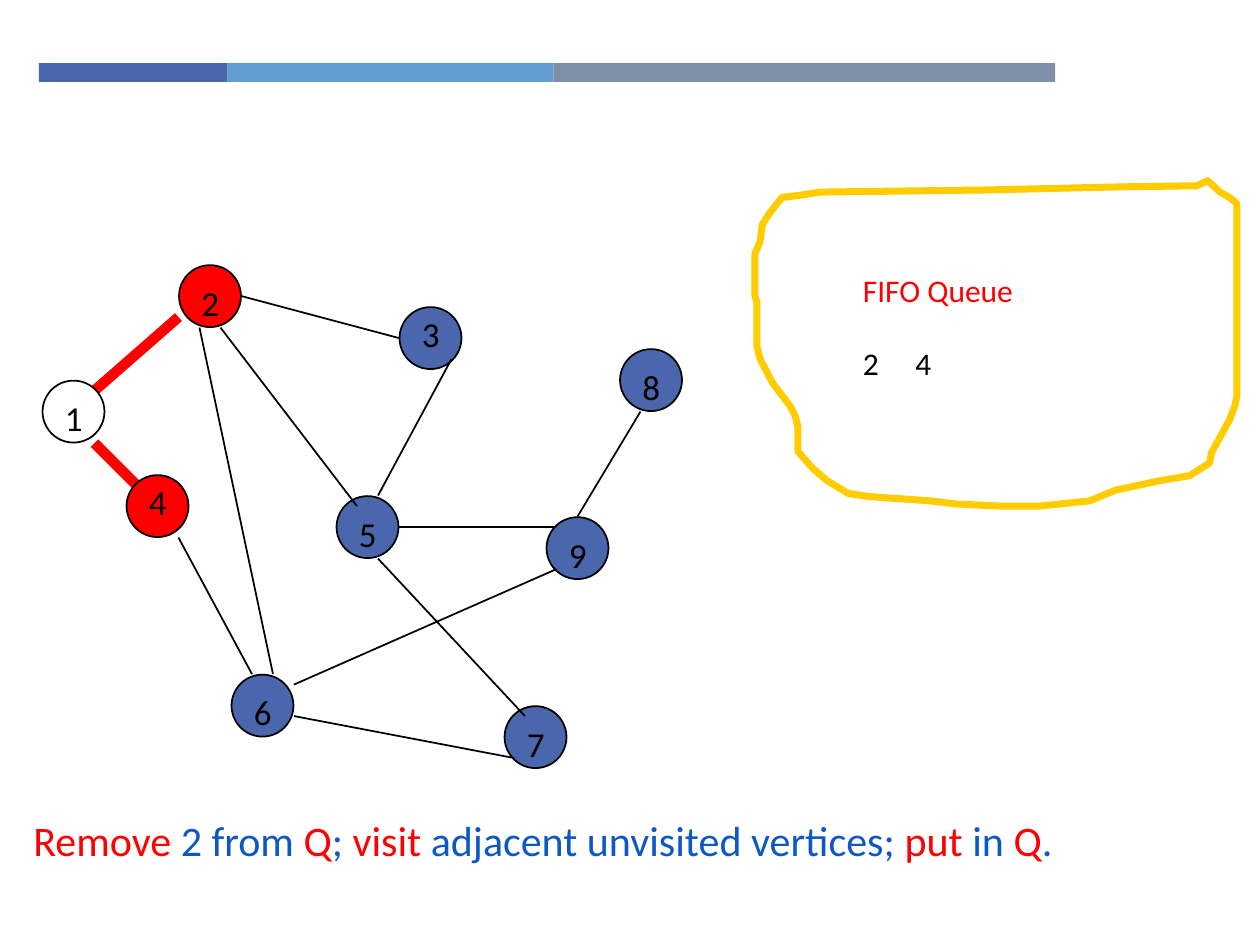
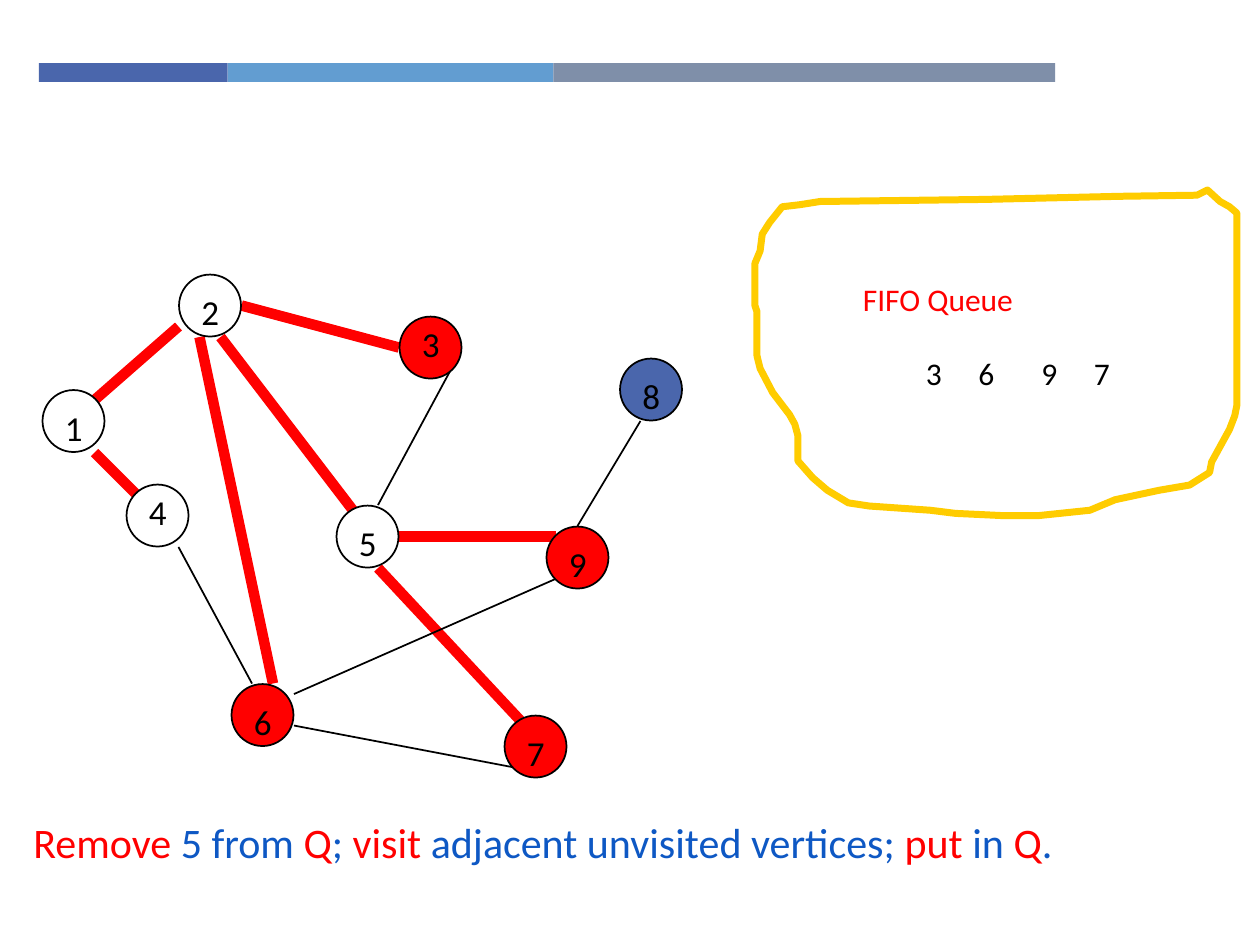
from lxml import etree
from pptx import Presentation
from pptx import util as u
from pptx.dml.color import RGBColor
from pptx.enum import shapes
from pptx.oxml.ns import qn

BLUE = RGBColor(0x4A, 0x66, 0xAC)
SKY = RGBColor(0x62, 0x9D, 0xD1)
SLATE = RGBColor(0x7F, 0x8F, 0xA9)
INK = RGBColor(0x0E, 0x58, 0xC4)
RED = RGBColor(0xFF, 0x00, 0x00)
GOLD = RGBColor(0xFF, 0xCC, 0x00)
BLACK = RGBColor(0x00, 0x00, 0x00)
WHITE = RGBColor(0xFF, 0xFF, 0xFF)
FONT = "Calibri"

prs = Presentation()
prs.slide_width, prs.slide_height = u.Inches(10), u.Inches(7.5)
CELL = prs.slide_width // 120

BAND_LEFT, BAND_TOP, BAND_HEIGHT = 3.7, 6, 1.8
BAND_PARTS = [(18, BLUE), (31, SKY), (47.8, SLATE)]

DIAMETER = 5.9
CENTERS = {
    "1": (7, 40), "2": (20, 29), "3": (41, 33), "4": (15, 49), "5": (35, 51),
    "6": (25, 68), "7": (51, 71), "8": (62, 37), "9": (55, 53),
}
HIGH_LABELS = "34"

EDGES = [
    ("1", (2, -2), "2", (-3, 2)),
    ("1", (2, 3), "4", (-2, -2)),
    ("2", (3, 0), "3", (-3, 0)),
    ("2", (1, 3), "5", (-1, -2)),
    ("2", (-1, 3), "6", (1, -3)),
    ("3", (2, 2), "5", (1, -3)),
    ("4", (2, 3), "6", (-1, -3)),
    ("5", (1, 3), "7", (-1, -2)),
    ("5", (3, 0), "9", (-2, -2)),
    ("6", (3, 1), "7", (-2, 2)),
    ("6", (3, -2), "9", (-2, 2)),
    ("8", (-1, 3), "9", (0, -3)),
]
PARENT = {"2": "1", "4": "1", "3": "2", "5": "2", "6": "2", "7": "5", "9": "5"}

FRAME_TOP = [(115, 18), (114, 18.5), (106.7, 18.6), (93.8, 18.9),
             (78.1, 19.1), (76.2, 19.4), (74.5, 19.6)]
FRAME_LEFT = [(73.3, 21.1), (72.6, 22.2), (72.4, 23.8), (71.9, 25), (71.9, 29),
              (72.1, 29.6), (72.1, 33.8), (72.4, 35), (73.6, 37.3),
              (75.2, 39.4), (75.7, 40.3), (76, 41.4), (76, 43.8)]
FRAME_BOTTOM = [(77.4, 45.4), (78.8, 46.6), (80.8, 47.8), (82.8, 48.1),
                (88.6, 48.5), (91, 48.8), (95.3, 49), (99, 49), (103.8, 48.5),
                (106.2, 47.5), (110.4, 46.6), (113.3, 46.1), (115.2, 44.9)]
FRAME_RIGHT = [(115.4, 43.9), (117.1, 40.8), (117.6, 39.5), (117.8, 38.5),
               (117.8, 20.2), (117.1, 19.6), (116.2, 19.1)]
QUEUE_FRAME = FRAME_TOP + FRAME_LEFT + FRAME_BOTTOM + FRAME_RIGHT

STEPS = [
    {"removed": "2", "done": "1", "queue": {"2": 81, "4": 86},
     "drop": -0.8, "caption_row": 77},
    {"removed": "5", "done": "1245", "queue": {"3": 87, "6": 92, "9": 98, "7": 103},
     "drop": 0.1, "caption_row": 77.2},
]


def add_shape(s, kind, fill, *box):
    sp = s.shapes.add_shape(kind, *[int(v * CELL) for v in box])
    sp.shadow.inherit = False
    sp.fill.solid()
    sp.fill.fore_color.rgb = fill
    sp.line.fill.background()
    return sp


def add_text(s, pieces, size, *box):
    tf = s.shapes.add_textbox(*[int(v * CELL) for v in box]).text_frame
    tf.word_wrap = True
    p = tf.paragraphs[0]
    for words, color in pieces:
        r = p.add_run()
        r.text = words
        r.font.name, r.font.size = FONT, u.Pt(size)
        r.font.color.rgb = color


for step in STEPS:
    s = prs.slides.add_slide(prs.slide_layouts[6])
    done, queue, drop = step["done"], step["queue"], step["drop"]

    left = BAND_LEFT
    for width, color in BAND_PARTS:
        add_shape(s, shapes.MSO_SHAPE.RECTANGLE, color,
                  left, BAND_TOP, width, BAND_HEIGHT)
        left += width

    lines = []
    for start, start_offset, end, end_offset in EDGES:
        ends = []
        for node, (dx, dy) in ((start, start_offset), (end, end_offset)):
            x, y = CENTERS[node]
            ends += [int((x + dx) * CELL), int((y + dy + drop) * CELL)]
        ln = s.shapes.add_connector(shapes.MSO_CONNECTOR.STRAIGHT, *ends)
        etree.SubElement(ln._element.spPr, qn("a:effectLst"))
        reached = end in done or end in queue
        in_tree = reached and PARENT.get(end) == start
        ln.line.color.rgb = RED if in_tree else BLACK
        ln.line.width = u.Pt(6 if in_tree else 1)
        lines.append(ln)

    for node, (x, y) in CENTERS.items():
        color = WHITE if node in done else RED if node in queue else BLUE
        sp = add_shape(s, shapes.MSO_SHAPE.OVAL, color, x - DIAMETER / 2,
                       y + drop - DIAMETER / 2, DIAMETER, DIAMETER)
        sp.line.color.rgb = BLACK
        sp.line.width = u.Pt(1)
        if color == BLUE:
            lines[0]._element.addprevious(sp._element)
        rise = 3 if node in HIGH_LABELS else 2
        add_text(s, [(node, BLACK)], 20, x - 2, y + drop - rise, 3, 5.2)

    frame = [(int(x * CELL), int((y + drop) * CELL)) for x, y in QUEUE_FRAME]
    fb = s.shapes.build_freeform(*frame[0])
    fb.add_line_segments(frame[1:], close=True)
    sp = fb.convert_to_shape()
    sp.shadow.inherit = False
    sp.fill.background()
    sp.line.color.rgb = GOLD
    sp.line.width = u.Pt(4)

    add_text(s, [("FIFO Queue", RED)], 18, 81, 26 + drop, 37, 10.3)
    for node, x in queue.items():
        add_text(s, [(node, BLACK)], 18, x, 33 + drop, 5, 7.5)

    caption = ["Remove", f" {step['removed']} from ", "Q", "; ", "visit",
               " adjacent unvisited vertices; ", "put", " in ", "Q", "."]
    pieces = [(words, INK if i % 2 else RED) for i, words in enumerate(caption)]
    add_text(s, pieces, 24, 2, step["caption_row"], 118, 9.4)

prs.save("out.pptx")
